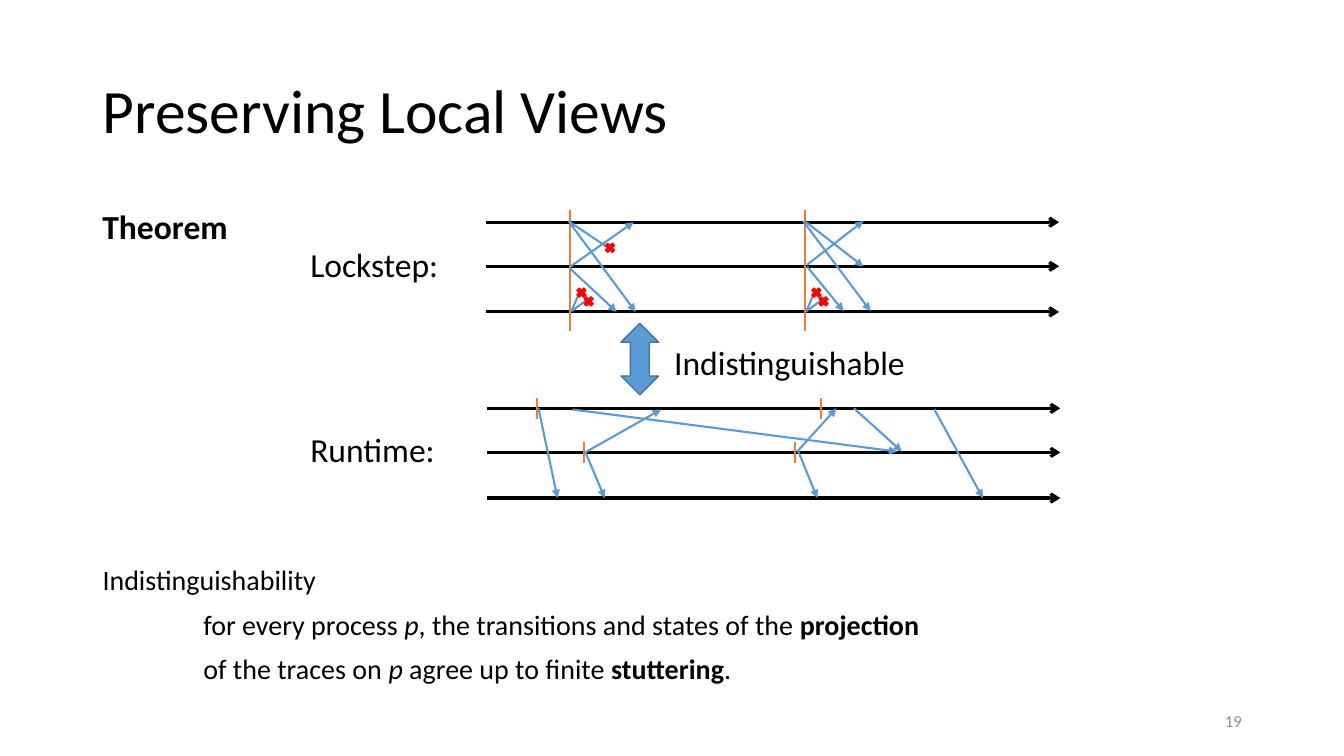
from lxml import etree
from pptx import Presentation
from pptx.dml.color import RGBColor
from pptx.enum.shapes import MSO_CONNECTOR, MSO_SHAPE
from pptx.enum.text import MSO_ANCHOR, MSO_AUTO_SIZE, PP_ALIGN
from pptx.oxml.ns import qn
from pptx.util import Cm, Pt

STRAIGHT = MSO_CONNECTOR.STRAIGHT
CROSS, DOUBLE_ARROW = MSO_SHAPE.MATH_MULTIPLY, MSO_SHAPE.UP_DOWN_ARROW
TOP, MIDDLE = MSO_ANCHOR.TOP, MSO_ANCHOR.MIDDLE
LEFT, RIGHT = PP_ALIGN.LEFT, PP_ALIGN.RIGHT
NO_AUTOFIT = MSO_AUTO_SIZE.NONE

BLACK, GREY, BLUE, DARK_BLUE = "000000", "8C8C8C", "5B9BD5", "43739E"
ORANGE, RED = "ED7D31", "FF0000"

# Diagram measures in cm
LANES = (0, 1.11, 2.26)
LANE_LENGTH = 14.45
TICK = 0.26
CROSS_SIZE = 0.33

# Lockstep messages (x1, y1, x2, y2) and crosses (x, y), measured from their round
LOST_TO_SELF = [(0.03, 2.24, 0.2, 1.85), (0.03, 2.24, 0.46, 1.93)]
SELF_CROSSES = [(0.3, 1.83), (0.12, 1.61)]
ROUNDS = [
    {"x": 2.13,
     "received": [(0, 0.03, 1.65, 2.26), (0, 1.12, 1.6, 0), (0, 1.17, 1.17, 2.26)],
     "lost": [(-0.05, -0.03, 1.1, 0.74)] + LOST_TO_SELF,
     "crosses": [(0.84, 0.48)] + SELF_CROSSES},
    {"x": 8.05,
     "received": [(-0.05, -0.03, 1.65, 2.24), (0.05, 1.07, 1.47, -0.03),
                  (0.05, 1.12, 0.97, 2.24), (0.03, 0, 1.47, 1.12)],
     "lost": LOST_TO_SELF,
     "crosses": SELF_CROSSES},
]
RUNTIME_TICKS = [(1.27, 0), (2.44, 1), (8.43, 0), (7.77, 1)]  # x, lane
RUNTIME_MESSAGES = [
    (1.3, 0, 1.78, 2.26), (2.16, 0.03, 10.34, 1.09), (2.49, 1.12, 2.97, 2.26),
    (2.46, 1.12, 4.39, 0.03), (7.85, 1.09, 8.33, 2.26), (7.82, 1.09, 8.81, 0),
    (9.25, 0, 10.46, 1.09), (11.28, 0.03, 12.5, 2.26),
]


def color(hex_string):
    return RGBColor.from_string(hex_string)


def set_attributes(target, values):
    for name, value in values.items():
        setattr(target, name, value)


def place(shape, box):
    set_attributes(shape, dict(zip(("left", "top", "width", "height"), map(Cm, box))))


def add_run(paragraph, text, size, hex_string=BLACK, **styles):
    run = paragraph.add_run()
    run.text = text
    set_attributes(run.font, {"name": "Calibri", "size": Pt(size), **styles})
    run.font.color.rgb = color(hex_string)


def add_label(slide, box, text, size=24, hex_string=BLACK, align=LEFT, anchor=TOP, **styles):
    label = slide.shapes.add_textbox(*map(Cm, box))
    set_attributes(label.text_frame, {"word_wrap": align == RIGHT, "vertical_anchor": anchor})
    paragraph = label.text_frame.paragraphs[0]
    paragraph.alignment = align
    add_run(paragraph, text, size, hex_string, **styles)


def add_line(slide, origin, ends, hex_string, width=1.5, head=None):
    """Draw a line whose ends (x1, y1, x2, y2) are measured from origin."""
    left, top = origin
    x1, y1, x2, y2 = ends
    connector = slide.shapes.add_connector(
        STRAIGHT, Cm(left + x1), Cm(top + y1), Cm(left + x2), Cm(top + y2))
    connector.line.width = Pt(width)
    connector.line.color.rgb = color(hex_string)
    if head:
        line = connector.line._get_or_add_ln()
        etree.SubElement(line, qn("a:tailEnd"), type=head)
    etree.SubElement(connector._element.spPr, qn("a:effectLst"))


def add_filled_shape(slide, kind, box, fill, outline):
    shape = slide.shapes.add_shape(kind, *map(Cm, box))
    shape.shadow.inherit = False
    shape.fill.solid()
    shape.fill.fore_color.rgb = color(fill)
    shape.line.color.rgb = color(outline)
    shape.line.width = Pt(1)


def add_lanes(slide, origin):
    for y in LANES:
        add_line(slide, origin, (0, y, LANE_LENGTH, y), BLACK, 2.25, "arrow")


def add_lockstep(slide, origin):
    add_lanes(slide, origin)
    left, top = origin
    for step in ROUNDS:
        start = (left + step["x"], top)
        add_line(slide, start, (0, -0.3, 0, 2.75), ORANGE)
        for ends in step["received"]:
            add_line(slide, start, ends, BLUE, head="triangle")
        for ends in step["lost"]:
            add_line(slide, start, ends, BLUE)
        for x, y in step["crosses"]:
            box = (start[0] + x, top + y, CROSS_SIZE, CROSS_SIZE)
            add_filled_shape(slide, CROSS, box, RED, RED)


def add_runtime(slide, origin):
    add_lanes(slide, origin)
    for x, lane in RUNTIME_TICKS:
        add_line(slide, origin, (x, LANES[lane] - TICK, x, LANES[lane] + TICK), ORANGE)
    for ends in RUNTIME_MESSAGES:
        add_line(slide, origin, ends, BLUE, head="triangle")


def add_title(slide, box, text):
    title = slide.shapes.title
    place(title, box)
    set_attributes(title.text_frame, {"vertical_anchor": MIDDLE, "auto_size": NO_AUTOFIT})
    paragraph = title.text_frame.paragraphs[0]
    set_attributes(paragraph, {"alignment": LEFT, "line_spacing": 0.9})
    add_run(paragraph, text, 44)


def add_definition(slide, box):
    body = slide.placeholders[1]
    place(body, box)
    frame = body.text_frame
    frame.auto_size = NO_AUTOFIT
    lines = [
        [("Indistinguishability", {})],
        [("for every process ", {}), ("p", {"italic": True}),
         (", the transitions and states of the ", {}), ("projection", {"bold": True})],
        [("of the traces on ", {}), ("p", {"italic": True}),
         (" agree up to finite ", {}), ("stuttering", {"bold": True}), (".", {})],
    ]
    for index, runs in enumerate(lines):
        paragraph = frame.add_paragraph() if index else frame.paragraphs[0]
        properties = paragraph._p.get_or_add_pPr()
        properties.set("marL", str(Cm(2.54 if index else 0)))
        properties.set("indent", "0")
        etree.SubElement(properties, qn("a:buNone"))
        set_attributes(paragraph, {"line_spacing": 0.9, "space_before": Pt(10 if index else 0)})
        for text, styles in runs:
            add_run(paragraph, text, 20, **styles)


def build_slide(presentation):
    slide = presentation.slides.add_slide(presentation.slide_layouts[1])
    add_title(slide, (2.33, 1.01, 29.21, 3.68), "Preserving Local Views")
    add_definition(slide, (2.33, 14.15, 29.21, 3.78))
    add_label(slide, (2.33, 5.06, 3.71, 1.28), "Theorem", bold=True)
    add_label(slide, (7.57, 6.02, 3.76, 1.28), "Lockstep:")
    add_label(slide, (7.57, 10.69, 3.68, 1.28), "Runtime:")
    add_lockstep(slide, (12.24, 5.6))
    add_runtime(slide, (12.27, 10.29))
    add_filled_shape(slide, DOUBLE_ARROW, (15.65, 8.15, 0.95, 1.8), BLUE, DARK_BLUE)
    add_label(slide, (16.74, 8.48, 6.4, 1.28), "Indistinguishable")
    add_label(slide, (23.93, 17.65, 7.62, 1.01), "19", 12, GREY, RIGHT, MIDDLE)


def main():
    presentation = Presentation()
    set_attributes(presentation, {"slide_width": Cm(33.87), "slide_height": Cm(19.05)})
    build_slide(presentation)
    presentation.save("out.pptx")


if __name__ == "__main__":
    main()
